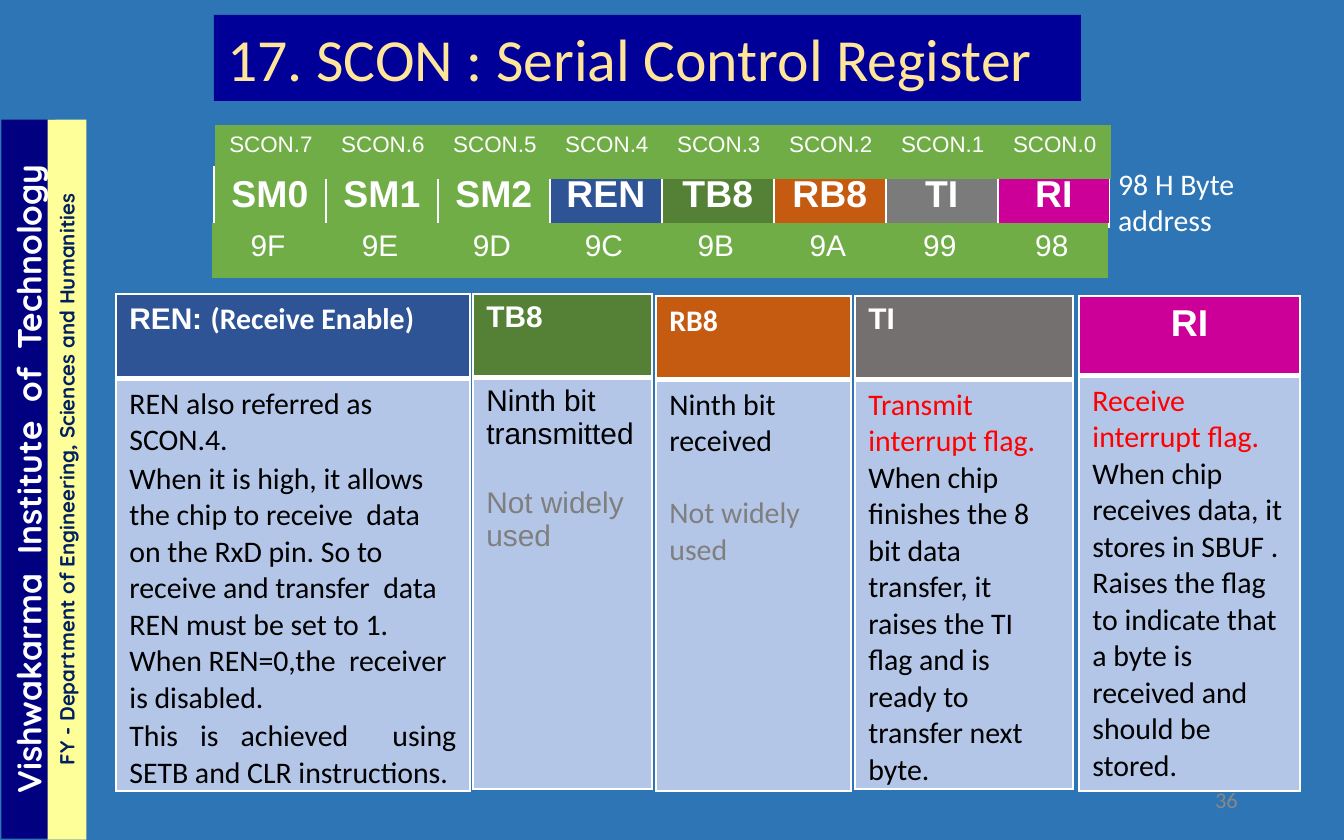
"""Build the SCON serial control register slide."""
import pptx
import pptx.dml.color
import pptx.enum.shapes
import pptx.enum.text
import pptx.oxml
import pptx.oxml.ns
import pptx.util

RGBColor = pptx.dml.color.RGBColor
Align = pptx.enum.text.PP_ALIGN
Anchor = pptx.enum.text.MSO_ANCHOR

BLUE = RGBColor(0x2E, 0x75, 0xB5)
NAVY = RGBColor(0x00, 0x00, 0x80)
TITLE_NAVY = RGBColor(0x00, 0x00, 0x99)
DARK_BLUE = RGBColor(0x00, 0x20, 0x60)
CREAM = RGBColor(0xFF, 0xFF, 0x99)
GOLD = RGBColor(0xFE, 0xE5, 0x99)
WHITE = RGBColor(0xFF, 0xFF, 0xFF)
BLACK = RGBColor(0x00, 0x00, 0x00)
RED = RGBColor(0xFF, 0x00, 0x00)
GRAY = RGBColor(0x7F, 0x7F, 0x7F)
NUMBER_GRAY = RGBColor(0x88, 0x88, 0x88)
GREEN = RGBColor(0x70, 0xAD, 0x47)
REN_BLUE = RGBColor(0x2F, 0x54, 0x96)
TB8_GREEN = RGBColor(0x54, 0x81, 0x35)
RB8_ORANGE = RGBColor(0xC5, 0x5A, 0x11)
FLAG_GRAY = RGBColor(0x7B, 0x7B, 0x7B)
TI_GRAY = RGBColor(0x75, 0x70, 0x70)
RI_PINK = RGBColor(0xCC, 0x00, 0x99)
PALE_BLUE = RGBColor(0xB3, 0xC6, 0xE7)

PIXELS_PER_INCH = 134.4
BIT_WIDTH = 112


def px(length):
    """Turn pixels into EMU."""
    return pptx.util.Emu(round(length * 914400 / PIXELS_PER_INCH))


def write(frame, text, size=16, font="Calibri", color=BLACK, bold=False,
          align=Align.LEFT, space_before=0, same_line=False):
    """Add text to a frame as a new paragraph, or as a run on the same line."""
    paragraph = frame.paragraphs[-1]
    if paragraph.runs and not same_line:
        paragraph = frame.add_paragraph()
    paragraph.alignment = align
    if space_before:
        paragraph.space_before = pptx.util.Pt(space_before)
    run = paragraph.add_run()
    run.text = text
    run.font.size = pptx.util.Pt(size)
    run.font.name = font
    run.font.bold = bold
    run.font.color.rgb = color


class SlideBuilder:
    """Hold the style and the current slide."""

    def __init__(self, slide):
        """Keep the slide and paint its background."""
        self.slide = slide
        slide.background.fill.solid()
        slide.background.fill.fore_color.rgb = BLUE

    def label(self, left, top, width, height, text, anchor=Anchor.TOP, **style):
        """Add a text box."""
        shape = self.slide.shapes.add_textbox(px(left), px(top), px(width), px(height))
        shape.text_frame.word_wrap = True
        shape.text_frame.vertical_anchor = anchor
        write(shape.text_frame, text, **style)

    def banner(self, left, top, width, height, fill, text, rotation=0, **style):
        """Add a filled rectangle with text."""
        shape = self.slide.shapes.add_shape(
            pptx.enum.shapes.MSO_SHAPE.RECTANGLE, px(left), px(top), px(width), px(height))
        shape.shadow.inherit = False
        shape.rotation = rotation
        shape.fill.solid()
        shape.fill.fore_color.rgb = fill
        shape.line.fill.background()
        shape.text_frame.word_wrap = True
        shape.text_frame.vertical_anchor = Anchor.TOP
        write(shape.text_frame, text, **style)

    def cell(self, cell, fill, borders):
        """Fill a cell and set its left, right, top and bottom borders in points."""
        cell.fill.solid()
        cell.fill.fore_color.rgb = fill
        properties = cell._tc.get_or_add_tcPr()
        for index, (side, width) in enumerate(zip("LRTB", borders)):
            paint = f'<a:solidFill><a:srgbClr val="{WHITE}"/></a:solidFill>' if width else "<a:noFill/>"
            properties.insert(index, pptx.oxml.parse_xml(
                f'<a:ln{side} {pptx.oxml.ns.nsdecls("a")} w="{width * 12700}">{paint}</a:ln{side}>'))

    def table(self, left, top, widths, heights):
        """Add a table without banding."""
        table = self.slide.shapes.add_table(
            len(heights), len(widths), px(left), px(top),
            px(sum(widths)), px(sum(heights))).table
        table.first_row = table.horz_banding = False
        for column, width in zip(table.columns, widths):
            column.width = px(width)
        for row, height in zip(table.rows, heights):
            row.height = px(height)
        return table

    def bit_row(self, left, top, height, names, fills, borders=(0, 0, 0, 0), **style):
        """Add a row with one cell for each register bit."""
        table = self.table(left, top, [BIT_WIDTH] * len(names), [height])
        for cell, name, fill in zip(table.iter_cells(), names, fills):
            self.cell(cell, fill, borders)
            write(cell.text_frame, name, font="Arial", color=WHITE, align=Align.CENTER, **style)

    def card(self, left, top, width, heights, fill, heading, body):
        """Add a two-row table that describes one bit."""
        header_cell, body_cell = self.table(left, top, [width], heights).iter_cells()
        self.cell(header_cell, fill, (1, 1, 1, 3))
        self.cell(body_cell, PALE_BLUE, (1, 1, 3, 1))
        body_cell.margin_bottom = 0
        for text, style in heading:
            write(header_cell.text_frame, text, color=WHITE, bold=True, **style)
        for text, style in body:
            write(body_cell.text_frame, text, **style)


def main():
    """Build and save the slide."""
    presentation = pptx.Presentation()
    presentation.slide_width, presentation.slide_height = px(1344), px(840)
    builder = SlideBuilder(presentation.slides.add_slide(presentation.slide_layouts[6]))

    builder.label(949, 778, 302, 44, "36", anchor=Anchor.MIDDLE, size=12,
                  color=NUMBER_GRAY, align=Align.RIGHT)
    sidebar = {"rotation": 270, "font": "Quicksand", "bold": True, "align": Align.CENTER}
    builder.banner(-331, 452, 719, 54, NAVY, "Vishwakarma  Institute  of  Technology",
                   size=18, color=WHITE, **sidebar)
    builder.banner(-293, 460, 720, 39, CREAM,
                   "FY - Department of Engineering, Sciences and Humanities",
                   size=11, color=DARK_BLUE, **sidebar)
    builder.banner(214, 15, 867, 86, TITLE_NAVY, "17. SCON : Serial Control Register",
                   size=32, color=GOLD)

    bits = range(7, -1, -1)
    greens = [GREEN] * len(bits)
    builder.bit_row(214, 167, 58, ["SM0", "SM1", "SM2", "REN", "TB8", "RB8", "TI", "RI"],
                    greens[:3] + [REN_BLUE, TB8_GREEN, RB8_ORANGE, FLAG_GRAY, RI_PINK],
                    borders=(1, 1, 1, 3), size=20, bold=True)
    builder.bit_row(212, 223, 55, [f"{0x98 + bit:X}" for bit in bits], greens, size=16)
    builder.bit_row(215, 125, 54, [f"SCON.{bit}" for bit in bits], greens, size=12)
    builder.label(1105, 159, 183, 86, "98 H Byte address", color=WHITE)

    arial = {"font": "Arial"}
    unused = {"color": GRAY, "space_before": 19}
    cards = [
        (116, 294, 354, (85, 412), REN_BLUE,
         [("REN: ", arial), ("(Receive Enable)", {"same_line": True})],
         [("REN also referred as SCON.4.", {}),
          ("When it is high, it allows the chip to receive  data on the RxD pin. "
           "So to receive and transfer  data REN must be set to 1. "
           "When REN=0,the  receiver is disabled.", {"space_before": 1.1}),
          ("This is achieved  using SETB and CLR instructions.",
           {"space_before": 1.1, "align": Align.JUSTIFY})]),
        (473, 294, 179, (84, 411), TB8_GREEN, [("TB8", arial)],
         [("Ninth bit transmitted", arial), ("Not widely used", {**arial, **unused})]),
        (656, 296, 195, (84, 411), RB8_ORANGE, [("RB8", {})],
         [("Ninth bit received", {}), ("Not widely used", unused)]),
        (855, 296, 218, (84, 409), TI_GRAY, [("TI", arial)],
         [("Transmit interrupt flag.", {"color": RED}),
          ("When chip finishes the 8 bit data transfer, it raises the TI flag "
           "and is ready to transfer next byte.", {})]),
        (1079, 296, 221, (80, 415), RI_PINK,
         [("RI", {**arial, "size": 20, "align": Align.CENTER})],
         [("Receive interrupt flag.", {"color": RED}),
          ("When chip receives data, it stores in SBUF . Raises the flag to indicate "
           "that a byte is received and should be stored.", {})]),
    ]
    for card in cards:
        builder.card(*card)
    presentation.save("out.pptx")


if __name__ == "__main__":
    main()
